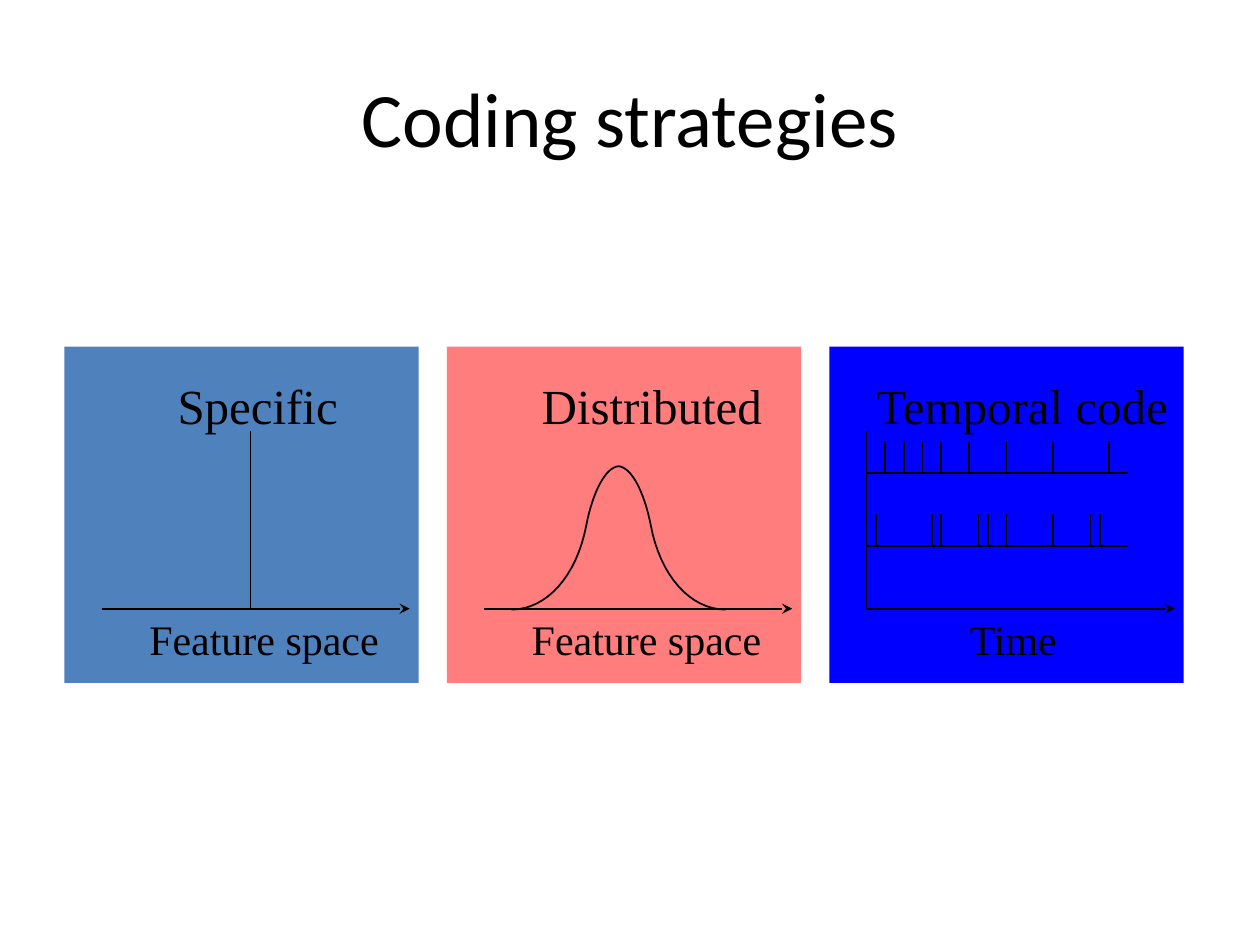
from pptx import Presentation
from pptx import util as u
from pptx.dml.color import RGBColor
from pptx.enum import shapes, text
from pptx.oxml.ns import qn
from lxml import etree

Cm = u.Cm
BLACK = RGBColor(0, 0, 0)
STEEL = RGBColor(0x4F, 0x81, 0xBD)
PINK = RGBColor(0xFF, 0x7D, 0x7D)
BLUE = RGBColor(0, 0, 0xFF)
SERIF = "Times New Roman"

TITLE = "Coding strategies"
PANELS = [
    (STEEL, ("Specific", 2.03, 3.78), ("Feature space", 1.46, 5.18)),
    (PINK, ("Distributed", 1.66, 5), ("Feature space", 1.46, 5.18)),
    (BLUE, ("Temporal code", 0.7, 6.45), ("Time", 2.58, 2.29)),
]
TRAINS = [
    (9.53, [2, 4, 6, 8, 11, 15, 20, 26]),
    (11, [1, 7, 8, 12, 13, 15, 20, 24, 25]),
]
BELL = [
    [(10.31, 12.29), (11.02, 12.29), (11.63, 11.61), (11.82, 10.59)],
    [(11.82, 10.59), (11.96, 9.88), (12.22, 9.42), (12.47, 9.4)],
]
LEFT, TOP, WIDE, HIGH, PITCH = 1.3, 6.99, 7.14, 6.78, 7.71
INSET, AXIS, REACH, PEAK = 0.75, 12.27, 6.21, 8.68
STEP, SPAN, TICK = 0.188, 28, 0.64
STEPS = 16

deck = Presentation()
deck.slide_width, deck.slide_height = Cm(25.4), Cm(19.05)
slide = deck.slides.add_slide(deck.slide_layouts[6])
items = slide.shapes


def label(words, x, y, w, h, size, font=SERIF):
    box = items.add_textbox(Cm(x), Cm(y), Cm(w), Cm(h))
    frame = box.text_frame
    frame.word_wrap = False
    frame.auto_size = text.MSO_AUTO_SIZE.SHAPE_TO_FIT_TEXT
    run = frame.paragraphs[0].add_run()
    run.text = words
    run.font.size = u.Pt(size)
    run.font.name = font
    run.font.color.rgb = BLACK
    return frame


def line(x1, y1, x2, y2, arrow=False):
    item = items.add_connector(
        shapes.MSO_CONNECTOR.STRAIGHT, Cm(x1), Cm(y1), Cm(x2), Cm(y2))
    item.line.color.rgb = BLACK
    item.line.width = u.Pt(1)
    props = item.line._get_or_add_ln()
    if arrow:
        etree.SubElement(props, qn("a:tailEnd"), type="stealth")
    etree.SubElement(props.getparent(), qn("a:effectLst"))


def bezier(knots):
    for n in range(STEPS + 1):
        t = n / STEPS
        parts = ((1 - t) ** 3, 3 * t * (1 - t) ** 2, 3 * t * t * (1 - t), t ** 3)
        yield tuple(sum(p * k[axis] for p, k in zip(parts, knots))
                    for axis in (0, 1))


def bell():
    half = [p for knots in BELL for p in bezier(knots)]
    crest = half[-1][0]
    curve = half + [(2 * crest - x, y) for x, y in reversed(half)]
    points = [(Cm(x), Cm(y)) for x, y in curve]
    pen = items.build_freeform(*points[0])
    pen.add_line_segments(points[1:], close=False)
    item = pen.convert_to_shape()
    item.shadow.inherit = False
    item.fill.background()
    item.line.color.rgb = BLACK
    item.line.width = u.Pt(1)


def spikes(x):
    for base, beats in TRAINS:
        line(x, base, x + SPAN * STEP, base)
        for beat in beats:
            at = x + beat * STEP
            line(at, base - TICK, at, base)


head = label(TITLE, 1.27, 0.76, 22.86, 3.18, 44, "Calibri")
head.word_wrap = True
head.auto_size = text.MSO_AUTO_SIZE.NONE
head.vertical_anchor = text.MSO_ANCHOR.MIDDLE
head.paragraphs[0].alignment = text.PP_ALIGN.CENTER

for i, (fill, name, unit) in enumerate(PANELS):
    x = LEFT + i * PITCH
    panel = items.add_shape(
        shapes.MSO_SHAPE.RECTANGLE, Cm(x), Cm(TOP), Cm(WIDE), Cm(HIGH))
    panel.shadow.inherit = False
    panel.fill.solid()
    panel.fill.fore_color.rgb = fill
    panel.line.fill.background()
    line(x + INSET, AXIS, x + INSET + REACH, AXIS, arrow=True)
    for (words, dx, w), y, h, size in ((unit, 12.24, 1.3, 24),
                                       (name, 7.44, 1.45, 28)):
        label(words, x + dx, y, w, h, size)

line(LEFT + 3.75, AXIS, LEFT + 3.75, PEAK)
bell()
start = LEFT + 2 * PITCH + INSET
line(start, AXIS, start, PEAK)
spikes(start)

deck.save("out.pptx")
